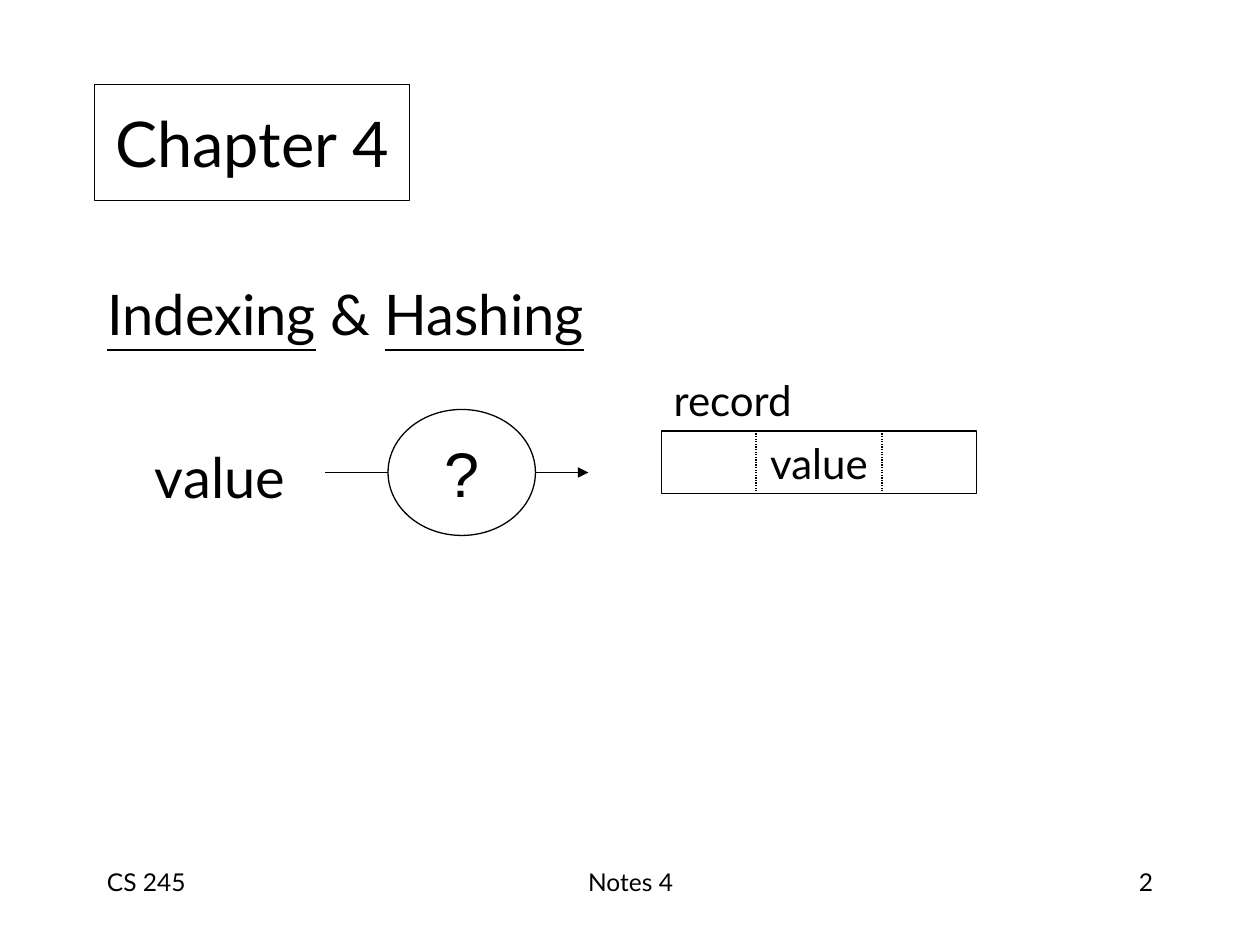
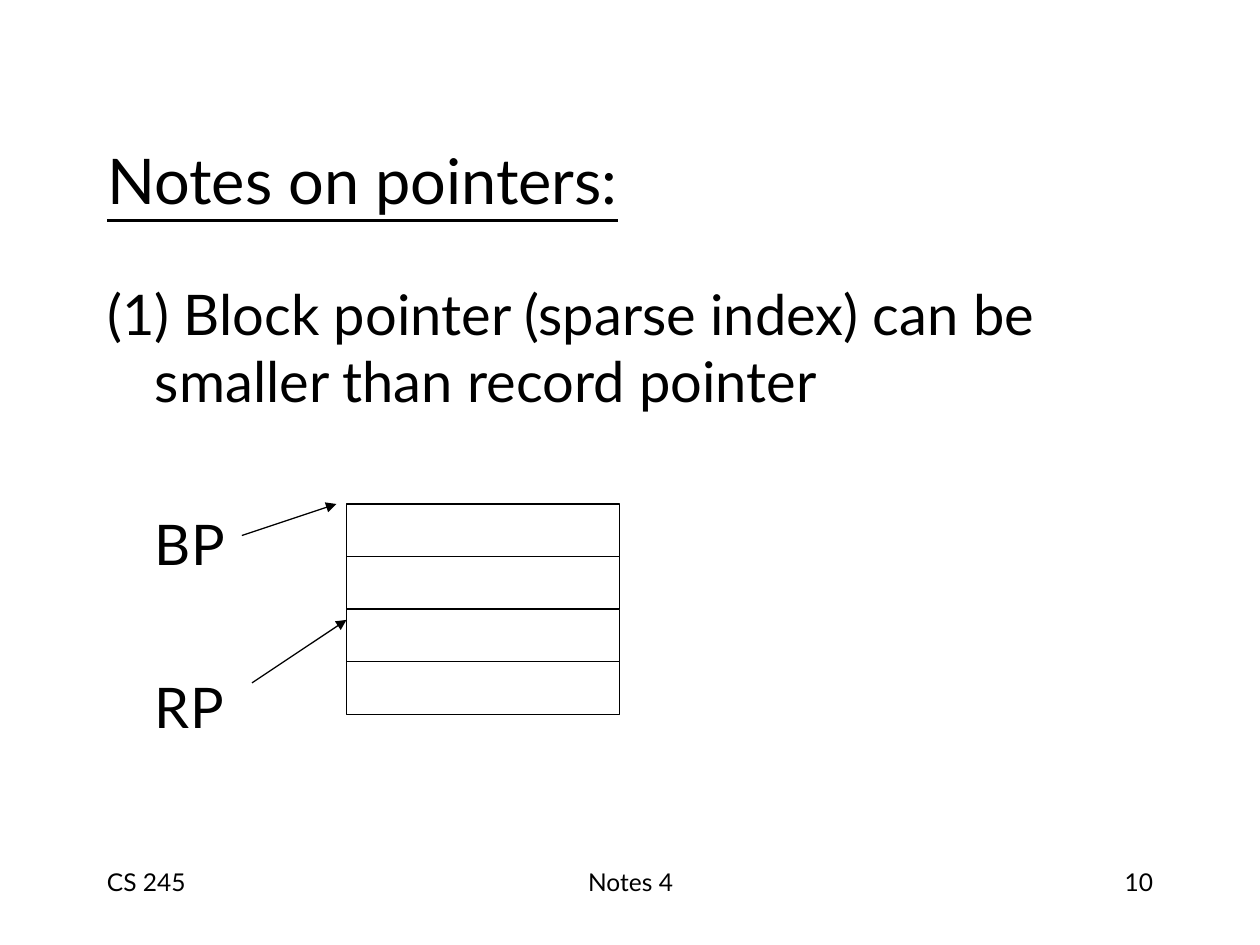
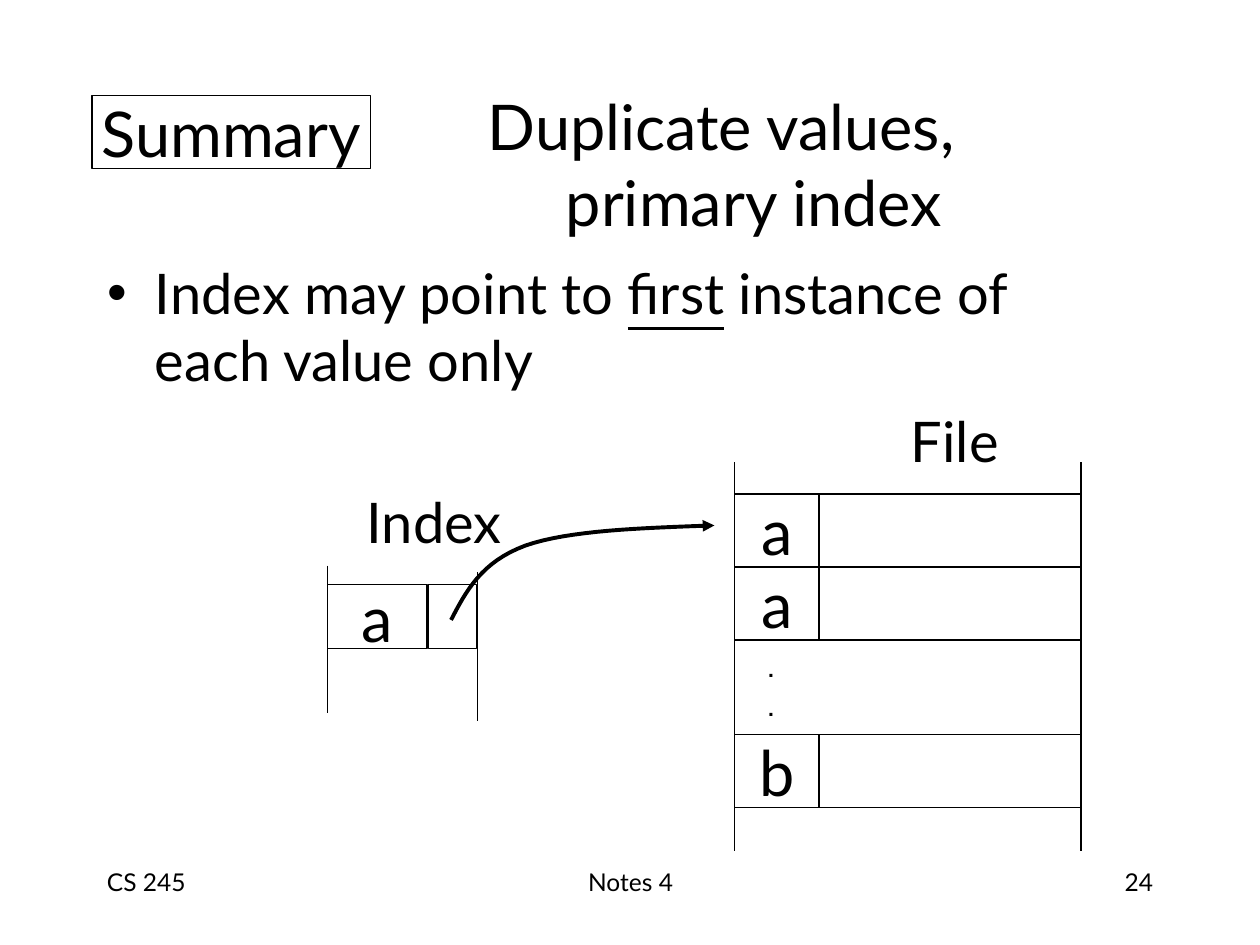
from dataclasses import dataclass

from lxml.etree import SubElement as Sub
from pptx import Presentation
from pptx.dml.color import RGBColor as RGB
from pptx.enum.dml import MSO_LINE as Dash
from pptx.enum.shapes import MSO_CONNECTOR as Conn, MSO_SHAPE as Kind
from pptx.enum.text import MSO_ANCHOR as Anchor, MSO_AUTO_SIZE as Auto, PP_ALIGN as Align
from pptx.oxml.ns import qn
from pptx.util import Inches, Pt


@dataclass(frozen=True)
class Theme:
    ink: RGB = RGB(0, 0, 0)
    paper: RGB = RGB(255, 255, 255)
    font: str = "Lato"
    plain: str = "Arial"
    title: int = 36
    body: int = 32
    label: int = 24
    foot: int = 14
    dot: int = 12
    thin: float = 0.75
    thick: float = 2.25
    gap: float = 8       # between list items
    skip: float = 54.5   # before a separate label


T = Theme()
HANG = (0.38, -0.38)


# Shared helpers
def style(item, form):
    for name, value in form.items():
        setattr(item, name, value)


def place(shape, box):
    style(shape, dict(zip(("left", "top", "width", "height"), map(Inches, box))))


def ink(line, width=T.thin):
    line.color.rgb = T.ink
    line.width = Pt(width)


def arrow(line):
    Sub(line._get_or_add_ln(), qn("a:tailEnd"), type="triangle")


def write(par, text, size, font=T.font, **form):
    """Add text to a paragraph; parts between underscores are underlined."""
    for i, part in enumerate(text.split("_")):
        for j, line in enumerate(part.split("\n")):
            if j:
                par.add_line_break()
            if line:
                run = par.add_run()
                run.text = line
                style(run.font, {"size": Pt(size), "name": font, **form})
                run.font.color.rgb = T.ink
                if i % 2:
                    run.font.underline = True


def indent(par, left, first=0):
    props = par._p.get_or_add_pPr()
    props.set("marL", str(Inches(left)))
    props.set("indent", str(Inches(first)))
    return props


def frame(shape, anchor=Anchor.MIDDLE, wrap=False):
    style(shape.text_frame, {"auto_size": Auto.NONE, "word_wrap": wrap,
                             "vertical_anchor": anchor})
    return shape.text_frame


def cell(slide, box, text="", kind=Kind.RECTANGLE, size=T.title, font=T.font):
    shape = slide.shapes.add_shape(kind, *map(Inches, box))
    shape.shadow.inherit = False
    shape.fill.solid()
    shape.fill.fore_color.rgb = T.paper
    ink(shape.line)
    if text:
        par = frame(shape).paragraphs[0]
        par.alignment = Align.CENTER
        write(par, text, size, font)
    return shape


def label(slide, box, lines, size, align=Align.CENTER, anchor=Anchor.MIDDLE,
          gap=0, **form):
    tf = frame(slide.shapes.add_textbox(*map(Inches, box)), anchor)
    for i, text in enumerate(lines):
        par = tf.add_paragraph() if i else tf.paragraphs[0]
        style(par, {"alignment": align, "space_before": Pt(gap if i else 0)})
        write(par, text, size, **form)


def rule(slide, x1, y1, x2, y2, head=False, dash=None):
    line = slide.shapes.add_connector(Conn.STRAIGHT, *map(Inches, (x1, y1, x2, y2)))
    ink(line.line)
    if dash:
        line.line.dash_style = dash
    if head:
        arrow(line.line)
    Sub(line._element.spPr, qn("a:effectLst"))


def title(slide, box, text, left=0, first=0, align=Align.LEFT, wrap=True):
    shape = slide.shapes.title
    place(shape, box)
    par = frame(shape, wrap=wrap).paragraphs[0]
    indent(par, left, first)
    par.alignment = align
    write(par, text, T.title)
    return shape


def body(slide, top, items):
    """Each item: text, indents, space before, bullet or not."""
    shape = slide.placeholders[1]
    place(shape, (0.75, top, 8.5, 4.5))
    tf = frame(shape, Anchor.TOP, True)
    for i, (text, dents, gap, mark) in enumerate(items):
        par = tf.add_paragraph() if i else tf.paragraphs[0]
        props = indent(par, *dents)
        if mark:
            Sub(props, qn("a:buChar"), char="•")
        else:
            Sub(props, qn("a:buNone"))
        par.space_before = Pt(gap)
        write(par, text, T.body)


def footer(slide, num):
    for x, w, text, align in ((0.75, 2.08, "CS 245", Align.LEFT),
                              (3.42, 3.17, "Notes 4", Align.CENTER),
                              (7.17, 2.08, str(num), Align.RIGHT)):
        label(slide, (x, 6.83, w, 0.5), [text], T.foot, align, Anchor.TOP)


def start(deck, num):
    slide = deck.slides.add_slide(deck.slide_layouts[1])
    footer(slide, num)
    return slide


# Chapter opening
def lookup(slide, x, y):
    """Question circle with a line in and an arrow out."""
    mid = y + 0.5
    cell(slide, (x + 0.5, y, 1.17, 1), "?", Kind.OVAL, font=T.plain)
    rule(slide, x, mid, x + 0.5, mid)
    rule(slide, x + 1.67, mid, x + 2.09, mid, head=True)


def record(slide, x, y, w, h):
    cell(slide, (x, y, w, h), "value", size=T.label)
    label(slide, (x - 0.05, y - 0.5, 1.23, 0.5), ["record"], T.label)
    for split in (x + 0.75, x + w - 0.75):
        rule(slide, split, y, split, y + h, dash=Dash.ROUND_DOT)


def opening(deck):
    slide = start(deck, 2)
    head = title(slide, (0.75, 0.67, 2.5, 0.92), "Chapter 4",
                 align=Align.CENTER, wrap=False)
    ink(head.line)
    body(slide, 2.17, [("_Indexing_ & _Hashing_", HANG, 0, False),
                       ("value", (0.38, 0), T.skip, False)])
    lookup(slide, 2.58, 3.25)
    record(slide, 5.25, 3.42, 2.5, 0.5)


# Pointers into a block
def block(slide, x, y, w, h, rows=4):
    step = h / rows
    for i in range(rows):
        cell(slide, (x, y + i * step, w, step))
    rule(slide, x - 0.75, y + 1.42, x, y + 0.92, head=True)
    rule(slide, x - 0.83, y + 0.25, x - 0.08, y, head=True)


def pointers(deck):
    slide = start(deck, 10)
    title(slide, (0.75, 0.92, 8.5, 1), "_Notes on pointers:_")
    text = "(1) Block pointer (sparse index) can be smaller than record pointer"
    body(slide, 2.17, [(text, HANG, 0, False)]
         + [(name, (0.38, 0), T.skip, False) for name in ("BP", "RP")])
    block(slide, 2.75, 4, 2.17, 1.67)


# Summary of the primary index
def index(slide, x, y):
    cell(slide, (x, y, 0.79, 0.51), "a")
    cell(slide, (x + 0.8, y, 0.38, 0.51))
    rule(slide, x, y - 0.15, x, y + 1.02)
    rule(slide, x + 1.19, y - 0.1, x + 1.19, y + 1.08)


def file(slide, x, y, w, h):
    key, row = 0.67, 0.58
    for dy, name in ((0.25, "a"), (0.83, "a"), (2.16, "b")):
        cell(slide, (x, y + dy, key, row), name)
        cell(slide, (x + key, y + dy, w - key, row))
    for side in (x, x + w):
        rule(slide, side, y, side, y + h)
    label(slide, (x + 0.17, y + 1.49, 0.24, 0.61), [".", "."], T.dot,
          gap=7.5, font=T.plain, bold=True)


def bezier(pts, steps=16):
    for i in range(1, steps + 1):
        t = i / steps
        ws = ((1 - t) ** 3, 3 * t * (1 - t) ** 2, 3 * t * t * (1 - t), t ** 3)
        yield tuple(Inches(sum(w * p[k] for w, p in zip(ws, pts))) for k in (0, 1))


def link(slide, x, y):
    """Curved arrow from the index entry to the first row."""
    pts = [(x + dx, y + dy) for dx, dy in
           ((0, 0), (0.12, -0.23), (0.24, -0.46), (0.59, -0.59),
            (0.93, -0.71), (1.51, -0.73), (2.09, -0.75))]
    pen = slide.shapes.build_freeform(Inches(x), Inches(y))
    pen.add_line_segments([*bezier(pts[:4]), *bezier(pts[3:])], close=False)
    curve = pen.convert_to_shape()
    curve.shadow.inherit = False
    curve.fill.background()
    ink(curve.line, T.thick)
    arrow(curve.line)


def summary(deck):
    slide = start(deck, 24)
    title(slide, (0.75, 0.67, 8.5, 1.25), "Duplicate values,\nprimary index",
          3.64, -0.62)
    body(slide, 2, [
        ("Index may point to _first_ instance of\neach value only", HANG, 0, True),
        ("File", (6.38, 0), T.gap, False),
        ("Index", (2.06, 0), T.gap, False)])
    cell(slide, (0.73, 0.76, 2.21, 0.58), "Summary")
    index(slide, 2.6, 4.64)
    file(slide, 5.83, 3.67, 2.75, 3.08)
    link(slide, 3.58, 4.92)


def main():
    deck = Presentation()
    style(deck, {"slide_width": Inches(10), "slide_height": Inches(7.5)})
    for make in (opening, pointers, summary):
        make(deck)
    deck.save("out.pptx")


if __name__ == "__main__":
    main()
